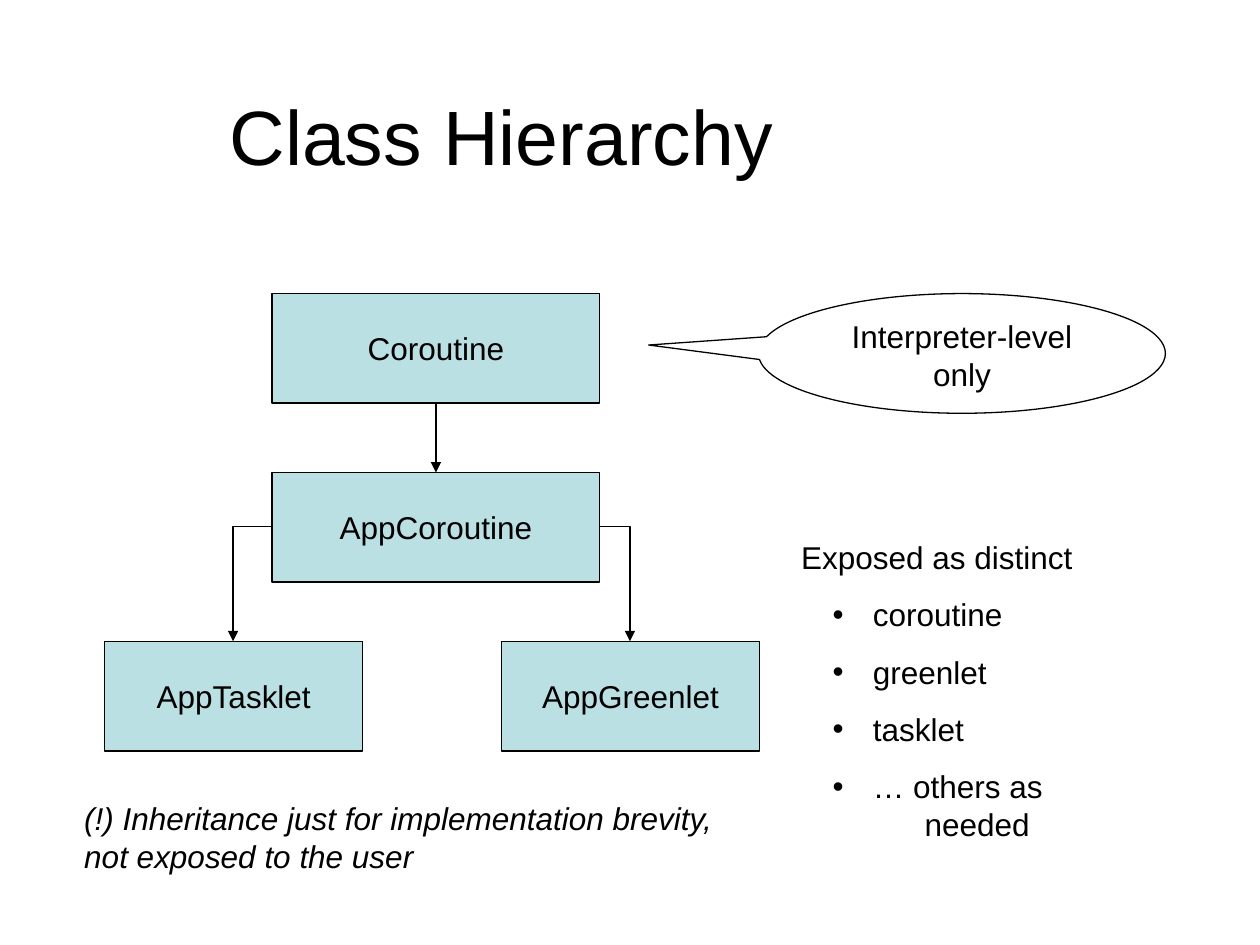
"""Build the Class Hierarchy slide: a class tree, a callout and two notes."""
from dataclasses import dataclass

from lxml import etree
from pptx import Presentation
from pptx import util as u
from pptx.dml.color import RGBColor
from pptx.enum import shapes, text
from pptx.oxml.ns import qn


@dataclass(frozen=True)
class Theme:
    font: str = "Arial"
    ink: RGBColor = RGBColor(0x00, 0x00, 0x00)
    box: RGBColor = RGBColor(0xBB, 0xE0, 0xE3)
    title_size: float = 44
    body_size: float = 18
    item_gap: float = 11.2
    line_width: float = 0.75


theme = Theme()
COLUMNS, ROWS = 100, 75

presentation = Presentation()
presentation.slide_width = u.Inches(10)
presentation.slide_height = u.Inches(7.5)
slide = presentation.slides.add_slide(presentation.slide_layouts[6])


def cells(left, top, width, height):
    column = presentation.slide_width / COLUMNS
    row = presentation.slide_height / ROWS
    return [round(n * size) for n, size in zip((left, top, width, height), (column, row) * 2)]


def write(paragraph, words, size=theme.body_size, align=text.PP_ALIGN.LEFT, italic=False):
    paragraph.alignment = align
    run = paragraph.add_run()
    run.text = words
    run.font.name = theme.font
    run.font.size = u.Pt(size)
    run.font.italic = italic
    run.font.color.rgb = theme.ink


title = slide.shapes.add_textbox(*cells(4.3, 3.6, 71, 14.2)).text_frame
title.word_wrap = True
title.vertical_anchor = text.MSO_ANCHOR.MIDDLE
write(title.paragraphs[0], "Class Hierarchy", theme.title_size, text.PP_ALIGN.CENTER)

rectangle = shapes.MSO_SHAPE.RECTANGLE
callout = shapes.MSO_SHAPE.OVAL_CALLOUT
box_height = 8.7
nodes = [
    ("Coroutine", rectangle, (21.6, 23.3, 26, box_height)),
    ("AppCoroutine", rectangle, (21.6, 37.5, 26, box_height)),
    ("AppGreenlet", rectangle, (39.8, 50.9, 20.5, box_height)),
    ("AppTasklet", rectangle, (8.3, 50.9, 20.5, box_height)),
    ("Interpreter-level only", callout, (60.2, 23.3, 32.3, 9.5)),
]
for name, kind, area in nodes:
    shape = slide.shapes.add_shape(kind, *cells(*area))
    shape.shadow.inherit = False
    shape.line.color.rgb = theme.ink
    shape.line.width = u.Pt(theme.line_width)
    frame = shape.text_frame
    if kind == callout:
        shape.fill.background()
        shape.adjustments[0], shape.adjustments[1] = -0.77, -0.07
        frame.word_wrap = True
        frame.vertical_anchor = text.MSO_ANCHOR.TOP
    else:
        shape.fill.solid()
        shape.fill.fore_color.rgb = theme.box
        frame.word_wrap = False
        frame.vertical_anchor = text.MSO_ANCHOR.MIDDLE
    write(frame.paragraphs[0], name, align=text.PP_ALIGN.CENTER)

arrows = [
    (shapes.MSO_CONNECTOR.STRAIGHT, (34.6, 32, 34.6, 37.5)),
    (shapes.MSO_CONNECTOR.ELBOW, (21.6, 41.8, 18.5, 50.9)),
    (shapes.MSO_CONNECTOR.ELBOW, (47.6, 41.8, 50, 50.9)),
]
for kind, ends in arrows:
    arrow = slide.shapes.add_connector(kind, *cells(*ends))
    arrow.line.color.rgb = theme.ink
    arrow.line.width = u.Pt(theme.line_width)
    properties = arrow._element.spPr
    if kind == shapes.MSO_CONNECTOR.ELBOW:
        properties.find(qn("a:prstGeom")).set("prst", "bentConnector2")
    etree.SubElement(properties.find(qn("a:ln")), qn("a:tailEnd"), type="triangle")
    etree.SubElement(properties, qn("a:effectLst"))

exposed = slide.shapes.add_textbox(*cells(62.6, 42.2, 33.9, 25.3)).text_frame
exposed.word_wrap = True
write(exposed.paragraphs[0], "Exposed as distinct")
items = [
    ("coroutine", True),
    ("greenlet", True),
    ("tasklet", True),
    ("… others as", True),
    ("needed", False),
]
for words, bulleted in items:
    paragraph = exposed.add_paragraph()
    paragraph.space_before = u.Pt(theme.item_gap if bulleted else 0)
    properties = paragraph._p.get_or_add_pPr()
    properties.set("marL", str(u.Inches(0.57 if bulleted else 0.98)))
    properties.set("indent", str(u.Inches(-0.32 if bulleted else 0)))
    if bulleted:
        etree.SubElement(properties, qn("a:buFont"), typeface=theme.font)
        etree.SubElement(properties, qn("a:buChar"), char="•")
    write(paragraph, words)

remark = slide.shapes.add_textbox(*cells(5.7, 62.9, 53.8, 7)).text_frame
remark.word_wrap = True
write(
    remark.paragraphs[0],
    "(!) Inheritance just for implementation brevity, not exposed to the user",
    italic=True,
)

presentation.save("out.pptx")
